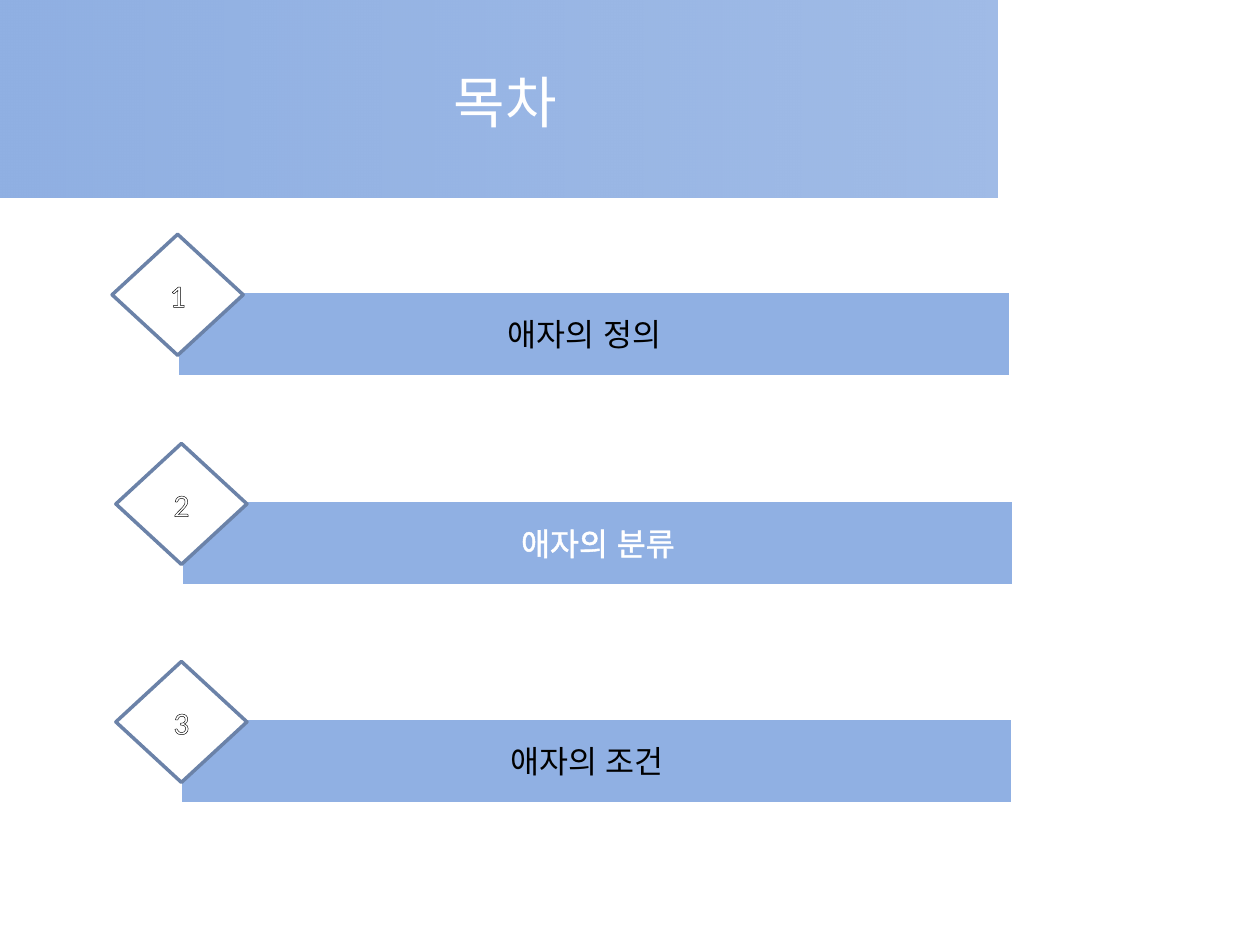
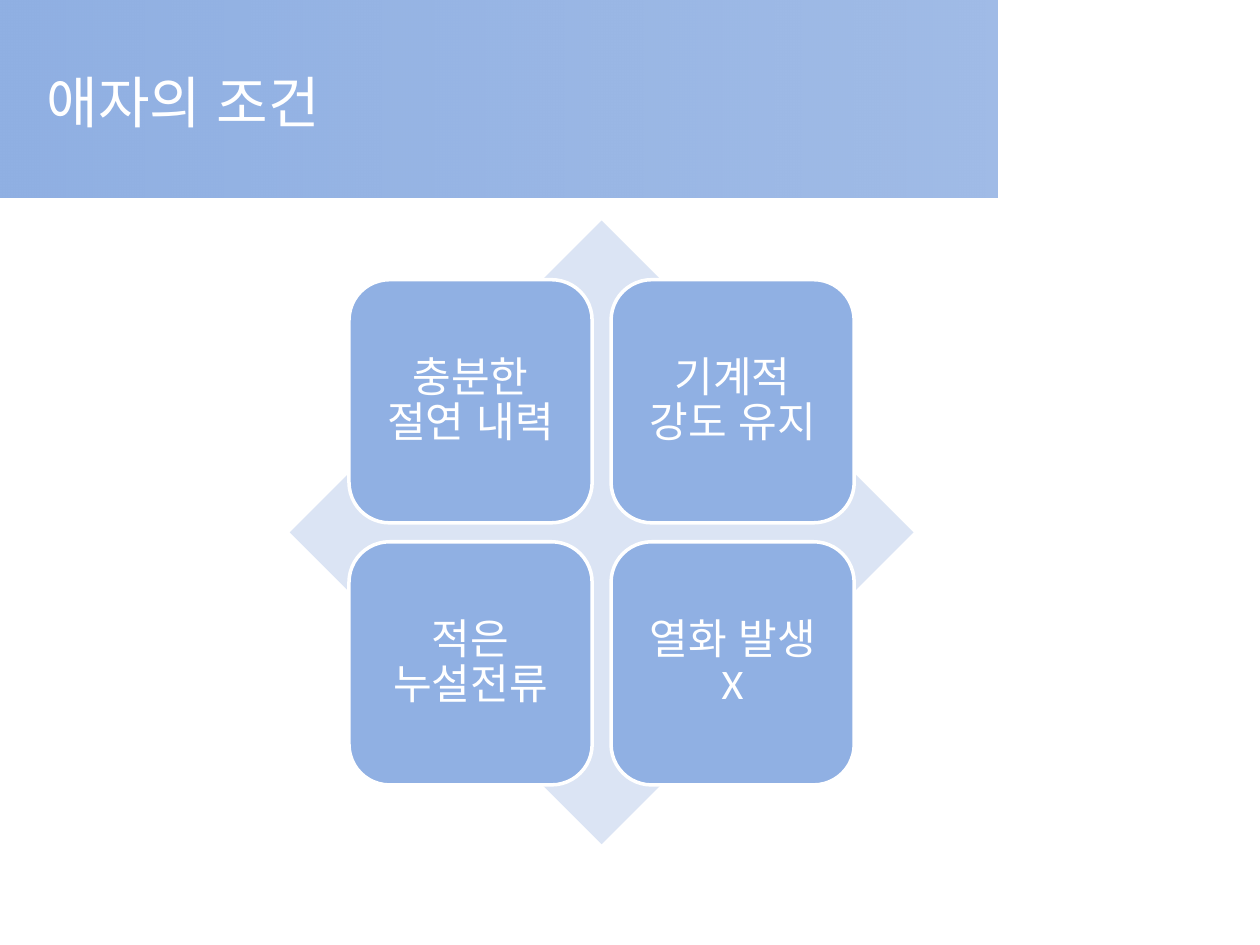
from dataclasses import dataclass
from typing import Optional

from lxml.etree import SubElement
from pptx import Presentation
from pptx.dml.color import RGBColor
from pptx.enum.lang import MSO_LANGUAGE_ID
from pptx.enum.shapes import MSO_SHAPE
from pptx.enum.text import MSO_ANCHOR, MSO_AUTO_SIZE, PP_ALIGN
from pptx.oxml.ns import qn
from pptx.util import Inches, Pt

BLUE, PALE_BLUE, SLATE = "90B0E3", "DBE4F4", "6B82A8"
WHITE, BLACK = "FFFFFF", "000000"
HEADING_FONT, BODY_FONT = "Arial", "Calibri"


@dataclass(frozen=True)
class Outline:
    color: str
    width: float


@dataclass(frozen=True)
class Box:
    left: float
    top: float
    width: float
    height: float

    def lengths(self):
        return [Inches(n) for n in (self.left, self.top, self.width, self.height)]


@dataclass(frozen=True)
class AgendaItem:
    label: str
    left: float
    top: float
    color: str = BLACK
    right_inset: float = 0.25


@dataclass(frozen=True)
class Card:
    label: str
    column: int
    row: int


BAND = Box(0, 0, 7.92, 1.57)
TITLE = Box(0.27, 0.3, 7.48, 1.01)
WHITE_EDGE = Outline(WHITE, 2)
AGENDA = [
    AgendaItem("애자의 정의", 1.41, 2.31),
    AgendaItem("애자의 분류", 1.44, 3.97, WHITE, 0.1),
    AgendaItem("애자의 조건", 1.43, 5.7),
]
NUMBER_LEFTS = [0.89, 0.92, 0.92]
NUMBER_RISE = 0.45
CARDS = [
    Card("충분한 절연 내력", 0, 0),
    Card("기계적 강도 유지", 1, 0),
    Card("적은 누설전류", 0, 1),
    Card("열화 발생 X", 1, 1),
]
CARD_SIZE, CARD_STEP = 1.93, 2.08
CARDS_LEFT, CARDS_TOP = 2.77, 2.22


def rgb(color: str) -> RGBColor:
    return RGBColor.from_string(color)


def set_text(shape, text: str, *, size: float, color: str = WHITE,
             font: str = BODY_FONT, align=PP_ALIGN.CENTER,
             line_spacing: Optional[float] = None,
             outline: Optional[Outline] = None) -> None:
    frame = shape.text_frame
    frame.word_wrap = True
    frame.auto_size = MSO_AUTO_SIZE.NONE
    frame.vertical_anchor = MSO_ANCHOR.MIDDLE
    paragraph = frame.paragraphs[0]
    paragraph.alignment = align
    if line_spacing:
        paragraph.line_spacing = line_spacing
    run = paragraph.add_run()
    run.text = text
    run.font.name = font
    run.font.size = Pt(size)
    run.font.color.rgb = rgb(color)
    run.font.language_id = MSO_LANGUAGE_ID.KOREAN
    if outline:
        properties = run._r.get_or_add_rPr()
        line = SubElement(properties, qn("a:ln"), w=str(Pt(outline.width)))
        fill = SubElement(line, qn("a:solidFill"))
        SubElement(fill, qn("a:srgbClr"), val=outline.color)
        properties.insert(0, line)


def add_shape(shapes, kind, box: Box, fill: str, line: Optional[Outline] = None):
    shape = shapes.add_shape(kind, *box.lengths())
    shape.shadow.inherit = False
    shape.fill.solid()
    shape.fill.fore_color.rgb = rgb(fill)
    if line:
        shape.line.color.rgb = rgb(line.color)
        shape.line.width = Pt(line.width)
    else:
        shape.line.fill.background()
    return shape


def add_band(layout, slide) -> None:
    band = add_shape(slide.shapes, MSO_SHAPE.RECTANGLE, BAND, BLUE)
    band.fill.gradient()
    band.fill.gradient_angle = 0
    for stop in band.fill.gradient_stops:
        stop.color.rgb = rgb(BLUE)
    end_color = list(band._element.spPr.iter(qn("a:srgbClr")))[-1]
    SubElement(end_color, qn("a:alpha"), val="85000")
    layout.shapes._spTree.insert(2, band._element)


def place_title(layout) -> None:
    title = layout.placeholders[0]
    title.left, title.top, title.width, title.height = TITLE.lengths()


def add_titled_slide(presentation, layout, title: str, align):
    slide = presentation.slides.add_slide(layout)
    set_text(slide.shapes.title, title, size=32, font=HEADING_FONT, align=align)
    return slide


def add_agenda_item(slide, number: int, number_left: float, item: AgendaItem) -> None:
    shapes = slide.shapes.add_group_shape().shapes
    bar = add_shape(shapes, MSO_SHAPE.RECTANGLE,
                    Box(item.left, item.top, 6.61, 0.68), BLUE, WHITE_EDGE)
    bar.text_frame.margin_right = Inches(item.right_inset)
    set_text(bar, item.label, size=18, color=item.color, outline=Outline(WHITE, 1.45))
    diamond = add_shape(shapes, MSO_SHAPE.DIAMOND,
                        Box(number_left, item.top - NUMBER_RISE, 1.04, 0.96),
                        WHITE, Outline(SLATE, 2))
    set_text(diamond, str(number), size=18, outline=Outline(BLACK, 0.75))


def add_card(shapes, card: Card) -> None:
    box = Box(CARDS_LEFT + card.column * CARD_STEP, CARDS_TOP + card.row * CARD_STEP,
              CARD_SIZE, CARD_SIZE)
    shape = add_shape(shapes, MSO_SHAPE.ROUNDED_RECTANGLE, box, BLUE, WHITE_EDGE)
    frame = shape.text_frame
    frame.margin_left = frame.margin_right = Inches(0.1)
    frame.margin_top = frame.margin_bottom = Inches(0.1)
    set_text(shape, card.label, size=24, line_spacing=0.9)


def main() -> None:
    presentation = Presentation()
    presentation.slide_width, presentation.slide_height = Inches(10), Inches(7.5)
    layout = presentation.slide_layouts.get_by_name("Title Only")
    place_title(layout)

    agenda = add_titled_slide(presentation, layout, "목차", PP_ALIGN.CENTER)
    add_band(layout, agenda)
    for number, (left, item) in enumerate(zip(NUMBER_LEFTS, AGENDA), start=1):
        add_agenda_item(agenda, number, left, item)

    conditions = add_titled_slide(presentation, layout, "애자의 조건", PP_ALIGN.LEFT)
    matrix = conditions.shapes.add_group_shape().shapes
    add_shape(matrix, MSO_SHAPE.DIAMOND, Box(2.3, 1.75, 4.95, 4.95), PALE_BLUE)
    for card in CARDS:
        add_card(matrix, card)

    presentation.save("out.pptx")


if __name__ == "__main__":
    main()
